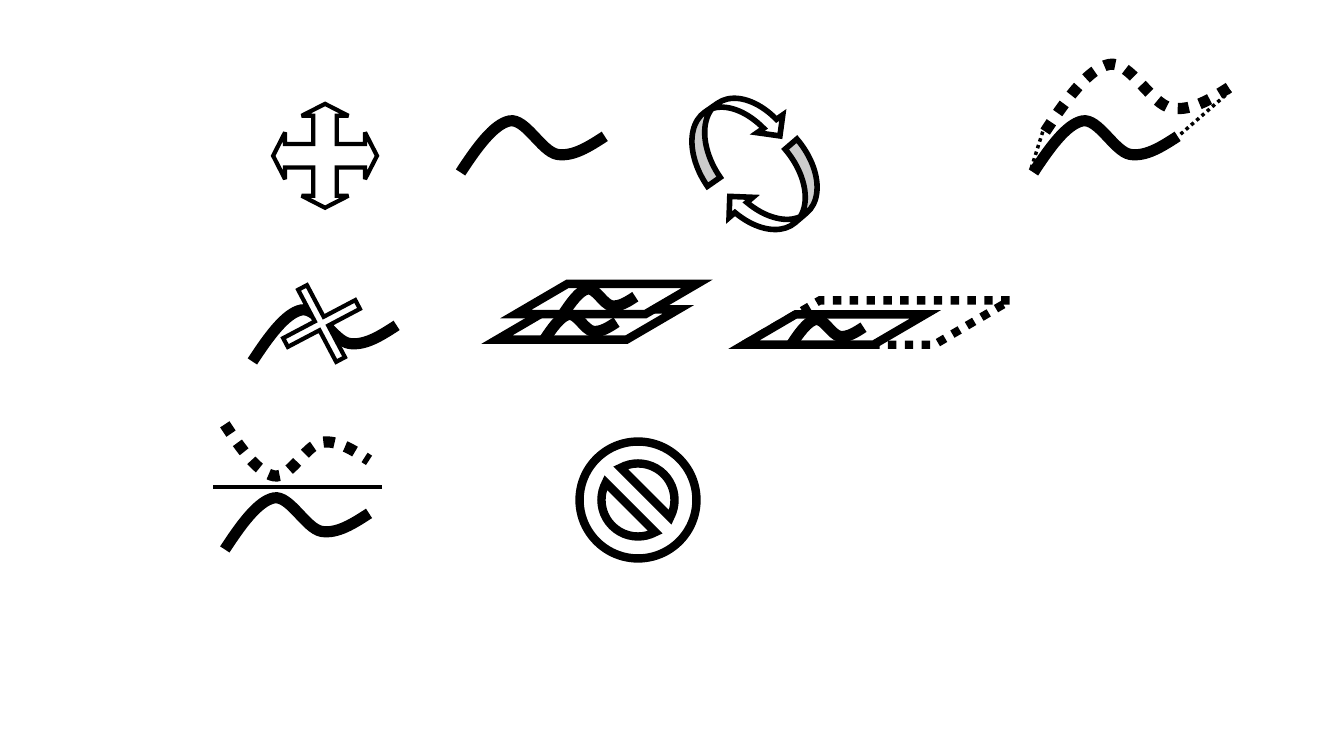
from dataclasses import dataclass

from lxml.etree import SubElement
from pptx import Presentation
from pptx.dml.color import RGBColor
from pptx.enum.dml import MSO_LINE
from pptx.enum.shapes import MSO_CONNECTOR, MSO_SHAPE
from pptx.oxml.ns import qn
from pptx.util import Pt

ANCHORS = [(0, 1), (0.34, 0), (0.67, 0.65), (1, 0.3)]
CONTROLS = [
    ((0.11, 0.53), (0.23, 0.06)),
    ((0.45, -0.06), (0.56, 0.59)),
    ((0.78, 0.7), (0.89, 0.5)),
]


@dataclass(frozen=True)
class Theme:
    ink: RGBColor = RGBColor(0, 0, 0)
    paper: RGBColor = RGBColor(255, 255, 255)
    hairline: float = 2.5
    thin: float = 3
    medium: float = 4
    thick: float = 6
    heavy: float = 8


class IconSheet:
    """Draws line icons on one slide in a shared style."""

    def __init__(self, slide, theme):
        self.shapes = slide.shapes
        self.theme = theme

    def stroke(self, shape, weight, dotted):
        shape.line.color.rgb = self.theme.ink
        shape.line.width = Pt(weight)
        if dotted:
            shape.line.dash_style = MSO_LINE.ROUND_DOT
        outline = shape.element.spPr.find(qn("a:ln"))
        SubElement(outline, qn("a:miter"), lim="800000")

    def icon(self, kind, left, top, width, height, weight,
             adjustments=(), rotation=0, dotted=False):
        shape = self.shapes.add_shape(kind, Pt(left), Pt(top), Pt(width), Pt(height))
        shape.shadow.inherit = False
        shape.rotation = rotation
        for index, value in enumerate(adjustments):
            shape.adjustments[index] = value
        shape.fill.solid()
        shape.fill.fore_color.rgb = self.theme.paper
        self.stroke(shape, weight, dotted)

    def wave(self, left, top, width=103, height=36.8, dotted=False, mirrored=False):
        def place(point):
            x, y = point
            return Pt(x * width), Pt((1 - y if mirrored else y) * height)

        start, *others = [place(point) for point in ANCHORS]
        builder = self.shapes.build_freeform(*start)
        builder.add_line_segments(others, close=False)
        shape = builder.convert_to_shape(Pt(left), Pt(top))
        segments = list(shape.element.iter(qn("a:lnTo")))
        for segment, controls, end in zip(segments, CONTROLS, others):
            curve = SubElement(segment.getparent(), qn("a:cubicBezTo"))
            for x, y in [*map(place, controls), end]:
                SubElement(curve, qn("a:pt"), x=str(int(x)), y=str(int(y)))
            segment.getparent().remove(segment)
        shape.shadow.inherit = False
        shape.fill.background()
        self.stroke(shape, self.theme.heavy, dotted)

    def segment(self, x1, y1, x2, y2, dotted=False):
        connector = self.shapes.add_connector(
            MSO_CONNECTOR.STRAIGHT, Pt(x1), Pt(y1), Pt(x2), Pt(y2))
        self.stroke(connector, self.theme.hairline, dotted)
        SubElement(connector.element.spPr, qn("a:effectLst"))

    def plane(self, left, top, width=129.6, height=21.6, dotted=False):
        self.icon(MSO_SHAPE.PARALLELOGRAM, left, top, width, height,
                  self.theme.thick, [1.71], dotted=dotted)

    def layer(self, left, top):
        self.plane(left, top)
        self.wave(left + 33.6, top + 3.6, 51.8, 18.5)


def main():
    presentation = Presentation()
    presentation.slide_width, presentation.slide_height = Pt(960), Pt(540)
    slide = presentation.slides.add_slide(presentation.slide_layouts[6])
    theme = Theme()
    sheet = IconSheet(slide, theme)

    sheet.icon(MSO_SHAPE.QUAD_ARROW, 195.1, 74.2, 74.2, 74.2, theme.thin,
               [0.225, 0.225, 0.115])
    sheet.wave(329, 86.4)
    for left, top, rotation in [(486, 71.3, 325.2), (518.4, 118.1, 139.5)]:
        sheet.icon(MSO_SHAPE.CURVED_DOWN_ARROW, left, top, 74.2, 44.6,
                   theme.medium, rotation=rotation)

    sheet.wave(180.3, 221.4)
    sheet.icon(MSO_SHAPE.MATH_MULTIPLY, 190.1, 191.5, 79.2, 79.2, theme.thin,
               [0.09], rotation=17.2)

    sheet.layer(355, 221)
    sheet.layer(368.4, 202.8)
    sheet.plane(531.4, 214.6, 190.1, 31.7, dotted=True)
    sheet.layer(531.4, 224.6)

    sheet.wave(738.2, 86.4)
    sheet.wave(746.6, 46, 134.6, 48, dotted=True)
    sheet.segment(736.6, 120.2, 745.2, 92.9, dotted=True)
    sheet.segment(879.1, 64.8, 841.7, 97.2, dotted=True)

    sheet.wave(160.6, 355.7)
    sheet.wave(160.6, 303.1, dotted=True, mirrored=True)
    sheet.segment(272.9, 347.8, 151.9, 347.8)
    sheet.icon(MSO_SHAPE.NO_SYMBOL, 414, 315.4, 83.5, 83.5, theme.thick)

    presentation.save("out.pptx")


if __name__ == "__main__":
    main()
